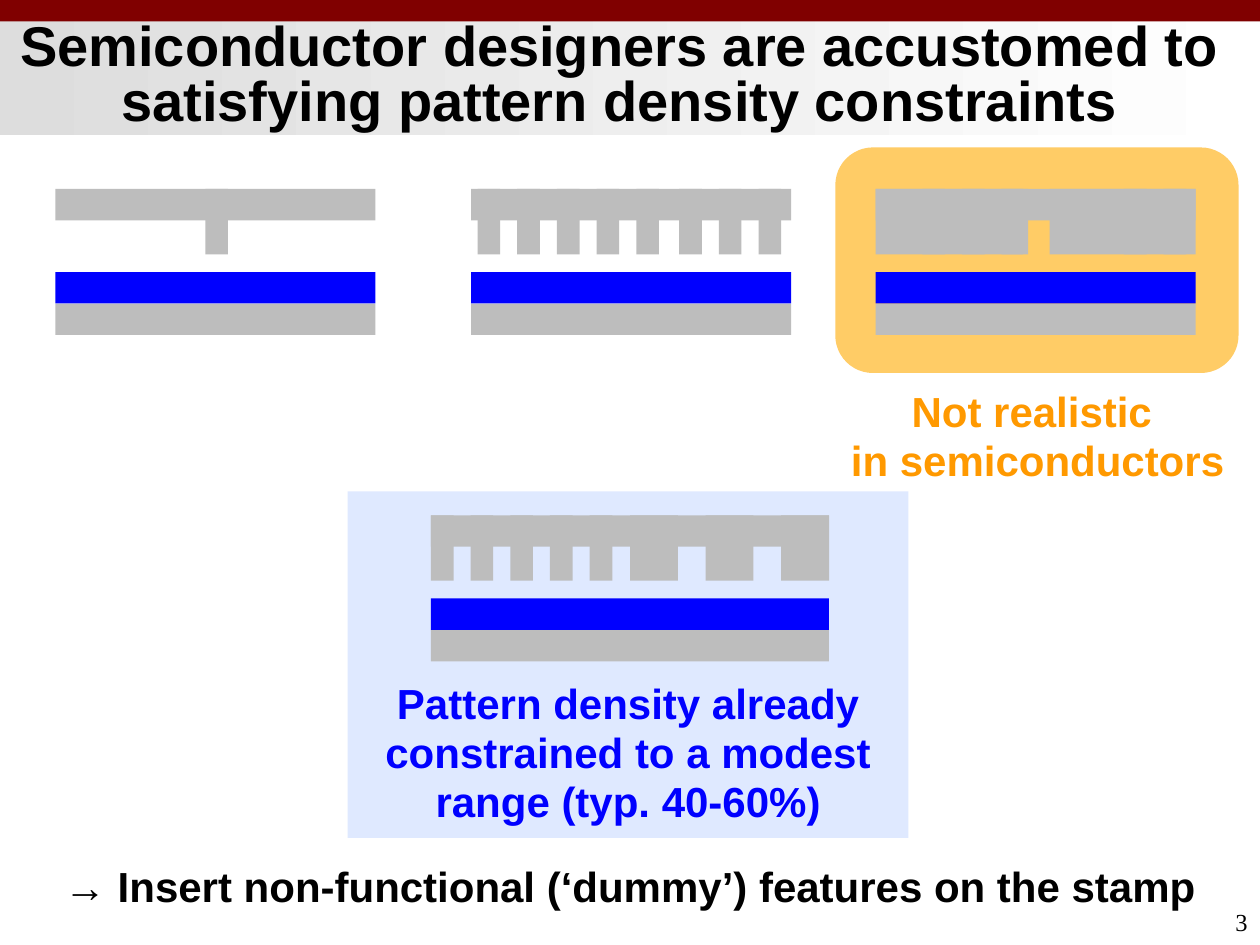
import pptx
import pptx.dml.color
import pptx.enum.shapes
import pptx.enum.text
import pptx.util

RGBColor = pptx.dml.color.RGBColor
SHAPE = pptx.enum.shapes.MSO_SHAPE
ALIGN = pptx.enum.text.PP_ALIGN
ANCHOR = pptx.enum.text.MSO_ANCHOR
Pt = pptx.util.Pt

BLACK = RGBColor(0x00, 0x00, 0x00)
WHITE = RGBColor(0xFF, 0xFF, 0xFF)
MAROON = RGBColor(0x80, 0x00, 0x00)
HEADER_GRAY = RGBColor(0xDD, 0xDD, 0xDD)
STAMP_GRAY = RGBColor(0xBD, 0xBD, 0xBD)
RESIST_BLUE = RGBColor(0x00, 0x00, 0xFF)
PANEL_BLUE = RGBColor(0xDF, 0xE9, 0xFF)
PANEL_ORANGE = RGBColor(0xFF, 0xCC, 0x66)
ORANGE = RGBColor(0xFF, 0x99, 0x00)

# The slide is a grid of 100 columns by 100 rows.
COLUMN = pptx.util.Inches(10) // 100
ROW = pptx.util.Inches(7.5) // 100

LAYER_ROWS = 3.33
TOOTH_ROWS = 6.93
RESIST_OFFSET = 8.8
SUBSTRATE_OFFSET = RESIST_OFFSET + LAYER_ROWS
TOOTH = 1.8
PITCH = 3.15


def grid_box(left, top, width, height):
    return [int(length) for length in
            (left * COLUMN, top * ROW, width * COLUMN, height * ROW)]


def add_block(shapes, box, color, kind=SHAPE.RECTANGLE):
    shape = shapes.add_shape(kind, *grid_box(*box))
    shape.shadow.inherit = False
    shape.fill.solid()
    shape.fill.fore_color.rgb = color
    shape.line.fill.background()
    return shape


def comb(start, count, width=TOOTH, pitch=PITCH):
    """Return (offset, width) of equally spaced teeth."""
    return [(start + index * pitch, width) for index in range(count)]


def add_stamp(shapes, left, top, width, teeth):
    """Draw a toothed stamp above a resist layer on its substrate."""
    for offset, color in ((SUBSTRATE_OFFSET, STAMP_GRAY),
                          (RESIST_OFFSET, RESIST_BLUE), (0, STAMP_GRAY)):
        add_block(shapes, (left, top + offset, width, LAYER_ROWS), color)
    for offset, tooth_width in teeth:
        add_block(shapes, (left + offset, top, tooth_width, TOOTH_ROWS), STAMP_GRAY)


def format_paragraph(paragraph, size, color, bold=True, name="Arial",
                     align=ALIGN.CENTER, spacing=None):
    paragraph.alignment = align
    paragraph.line_spacing = spacing
    paragraph.space_before = Pt(0)
    paragraph.font.size = Pt(size)
    paragraph.font.bold = bold
    paragraph.font.name = name
    paragraph.font.color.rgb = color


def add_caption(slide, box, lines, color):
    frame = slide.shapes.add_textbox(*grid_box(*box)).text_frame
    frame.word_wrap = True
    frame.margin_left = frame.margin_right = 2 * COLUMN
    frame.margin_top = frame.margin_bottom = 2 * ROW
    frame.text = "\n".join(lines)
    for paragraph in frame.paragraphs:
        format_paragraph(paragraph, 24, color, spacing=Pt(28))


def add_header(slide, text):
    band = add_block(slide.shapes, (0, 0, 100, 14.27), HEADER_GRAY)
    band.fill.gradient()
    band.fill.gradient_angle = 0
    for stop, color, position in zip(band.fill.gradient_stops,
                                     (HEADER_GRAY, WHITE), (0, 1)):
        stop.color.rgb = color
        stop.position = position
    add_block(slide.shapes, (0, 0, 100, 2.27), MAROON)

    title = slide.shapes.title
    title.element.getparent().append(title.element)  # in front of the band
    title.left, title.top, title.width, title.height = grid_box(0, 2.53, 98.4, 11.47)
    frame = title.text_frame
    frame.text = text
    frame.auto_size = pptx.enum.text.MSO_AUTO_SIZE.NONE
    frame.vertical_anchor = ANCHOR.MIDDLE
    format_paragraph(frame.paragraphs[0], 32, BLACK, spacing=Pt(31))


def add_page_number(slide, number):
    frame = slide.shapes.add_textbox(*grid_box(76.7, 95.33, 23.3, 4.67)).text_frame
    frame.word_wrap = True
    frame.text = number
    format_paragraph(frame.paragraphs[0], 14, BLACK, bold=False,
                     name="Times New Roman", align=ALIGN.RIGHT)


def main():
    presentation = pptx.Presentation()
    presentation.slide_width = 100 * COLUMN
    presentation.slide_height = 100 * ROW
    slide = presentation.slides.add_slide(presentation.slide_layouts[5])
    shapes = slide.shapes

    add_header(slide, "Semiconductor designers are accustomed to "
                      "satisfying pattern density constraints")
    add_block(shapes, (27.6, 52, 44.5, 36.67), PANEL_BLUE)
    add_block(shapes, (66.3, 15.6, 32, 23.87), PANEL_ORANGE, SHAPE.ROUNDED_RECTANGLE)
    add_page_number(slide, "3")

    sparse = comb(11.9, 1)
    regular = comb(0.5, 5) + comb(16.5, 3)
    dense = ([(0, 11.7)] + comb(3.7, 2) + [(10, 2.1), (13.8, 11.6)]
             + comb(19.7, 2))
    for left, teeth in ((4.4, sparse), (37.4, regular), (69.5, dense)):
        add_stamp(shapes, left, 20, 25.4, teeth)

    constrained = comb(0, 5) + comb(15.8, 3, width=3.8, pitch=6)
    add_stamp(shapes.add_group_shape().shapes, 34.2, 54.53, 31.6, constrained)

    add_caption(slide, (63.8, 38.93, 37.1, 14.67),
                ["Not realistic ", "in semiconductors"], ORANGE)
    add_caption(slide, (27.6, 69.87, 44.5, 14.67),
                ["Pattern density already constrained to a modest "
                 "range (typ. 40-60%)"], RESIST_BLUE)
    add_caption(slide, (0, 89.2, 100, 14.67),
                ["→ Insert non-functional (‘dummy’) features on the stamp"], BLACK)

    presentation.save("out.pptx")


if __name__ == "__main__":
    main()
